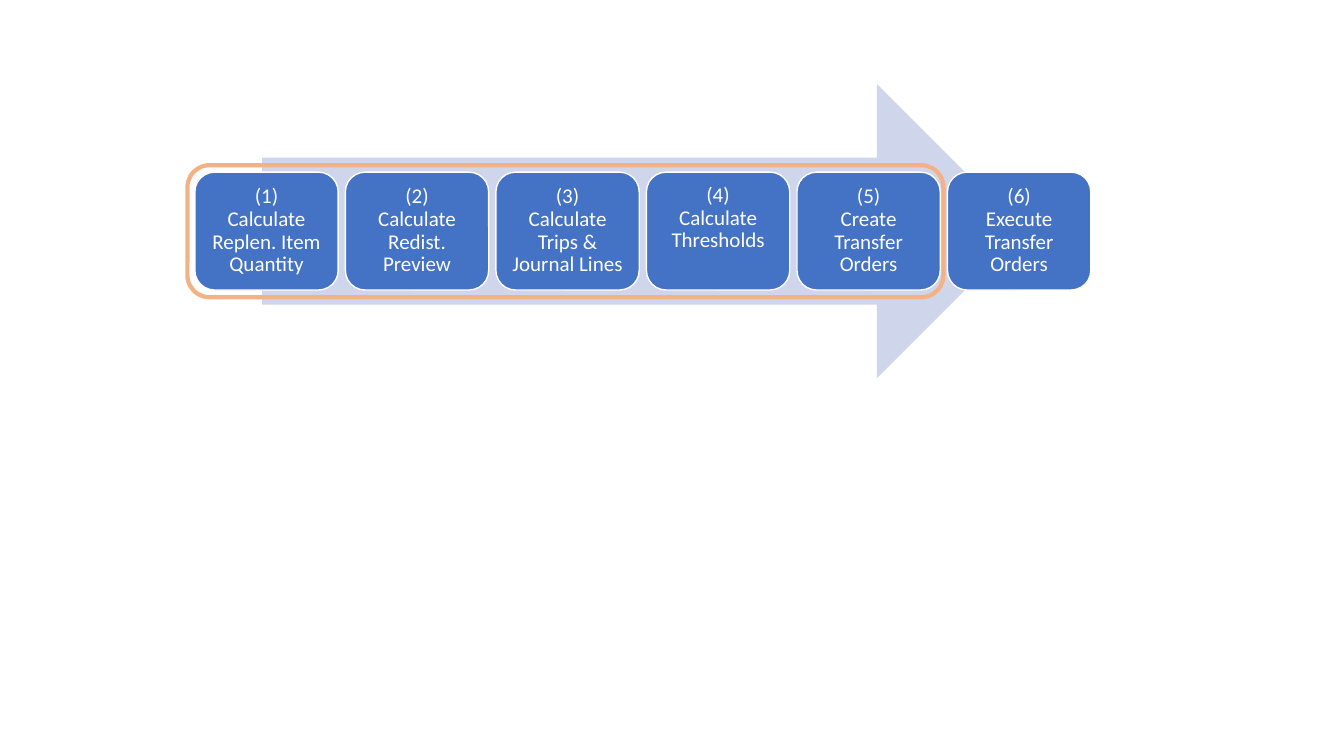
from pptx import Presentation
from pptx.dml.color import RGBColor
from pptx.enum.shapes import MSO_SHAPE as SHAPE
from pptx.enum.text import MSO_ANCHOR as ANCHOR, PP_ALIGN as ALIGN
from pptx.util import Pt

BLUE = RGBColor(0x44, 0x72, 0xC4)
PALE = RGBColor(0xCF, 0xD5, 0xEA)
ORANGE = RGBColor(0xF4, 0xB1, 0x83)
WHITE = RGBColor(0xFF, 0xFF, 0xFF)

STEPS = [
    ["(1)", "Calculate", "Replen. Item Quantity"],
    ["(2)", "Calculate Redist. Preview"],
    ["(3)", "Calculate Trips & Journal Lines"],
    ["(4)", "Calculate Thresholds"],
    ["(5)", "Create Transfer Orders"],
    ["(6)", "Execute Transfer Orders"],
]
RAISED_STEP = 3  # its text is one line shorter and stays level with the others
STEP_W, STEP_H, GAP = 102.4, 84.2, 5.12


def add_block(s, kind, box, fill=None, line=None, weight=1):
    sp = s.shapes.add_shape(kind, *(Pt(v) for v in box))
    sp.shadow.inherit = False
    if fill is None:
        sp.fill.background()
    else:
        sp.fill.solid()
        sp.fill.fore_color.rgb = fill
    if line is None:
        sp.line.fill.background()
    else:
        sp.line.color.rgb = line
        sp.line.width = Pt(weight)
    return sp


def add_step(s, box, lines, lift=0):
    """Draw one step; lift is extra room kept free below its text."""
    sp = add_block(s, SHAPE.ROUNDED_RECTANGLE, box, BLUE, WHITE)
    tf = sp.text_frame
    tf.word_wrap = True
    tf.vertical_anchor = ANCHOR.MIDDLE
    tf.margin_left = tf.margin_right = tf.margin_top = Pt(4.3)
    tf.margin_bottom = Pt(4.3 + lift)
    p = tf.paragraphs[0]
    p.alignment = ALIGN.CENTER
    p.line_spacing = 0.9
    for i, text in enumerate(lines):
        if i:
            p.add_line_break()
        r = p.add_run()
        r.text = text
        r.font.size = Pt(15)
        r.font.name = "Calibri"
        r.font.color.rgb = WHITE


def add_process(s, left, top):
    """Place the arrow, the steps and the frame relative to the first step."""
    add_block(s, SHAPE.RIGHT_ARROW, (left + 48, top - 63, 544.3, 210.2), PALE)
    for i, lines in enumerate(STEPS):
        box = (left + i * (STEP_W + GAP), top, STEP_W, STEP_H)
        add_step(s, box, lines, 18 if i == RAISED_STEP else 0)
    add_block(s, SHAPE.ROUNDED_RECTANGLE, (left - 5.3, top - 5, 540, 94.3),
              line=ORANGE, weight=3)


def main():
    prs = Presentation()
    prs.slide_width, prs.slide_height = Pt(960), Pt(540)
    s = prs.slides.add_slide(prs.slide_layouts[6])
    add_process(s, 139.2, 123)
    prs.save("out.pptx")


if __name__ == "__main__":
    main()
